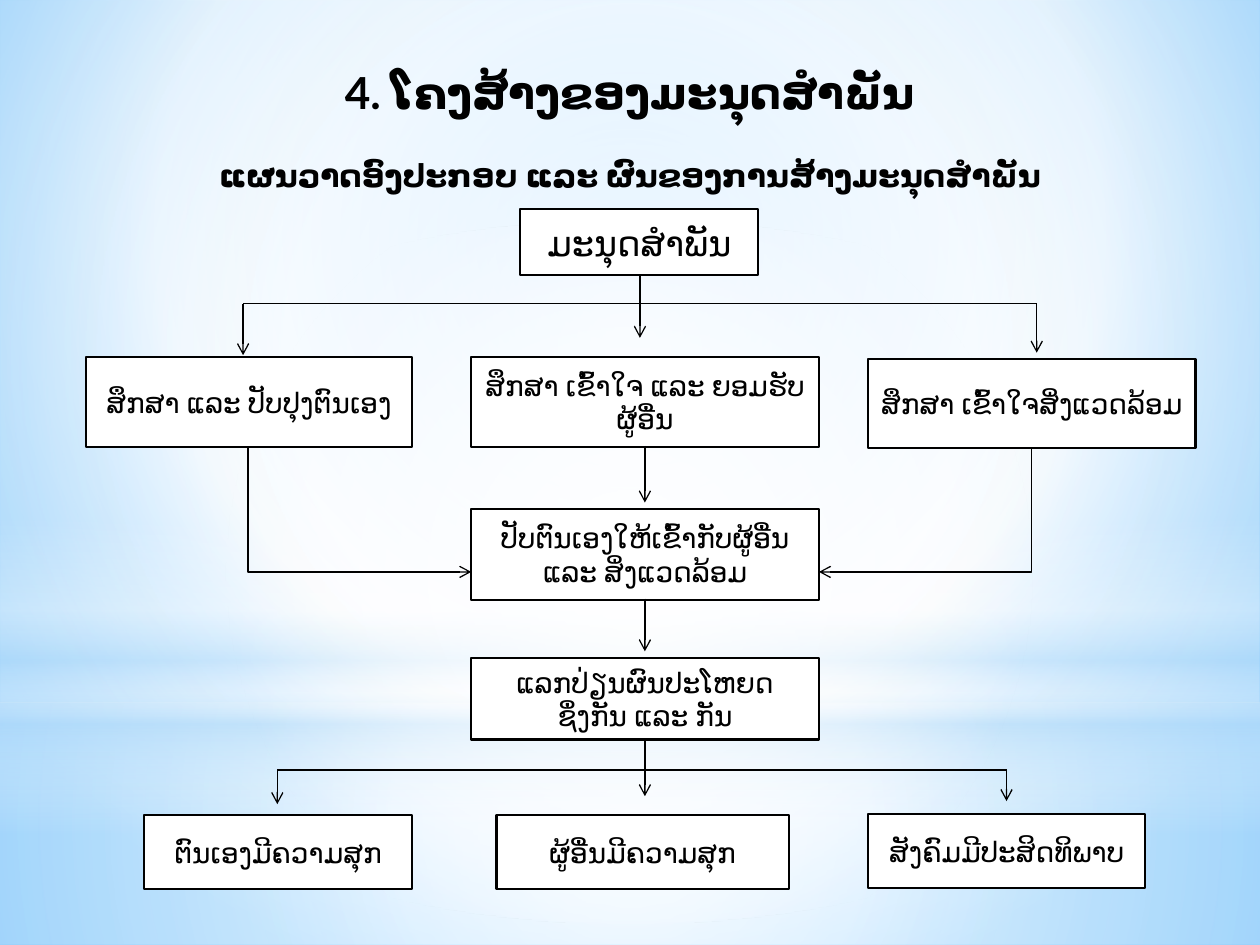
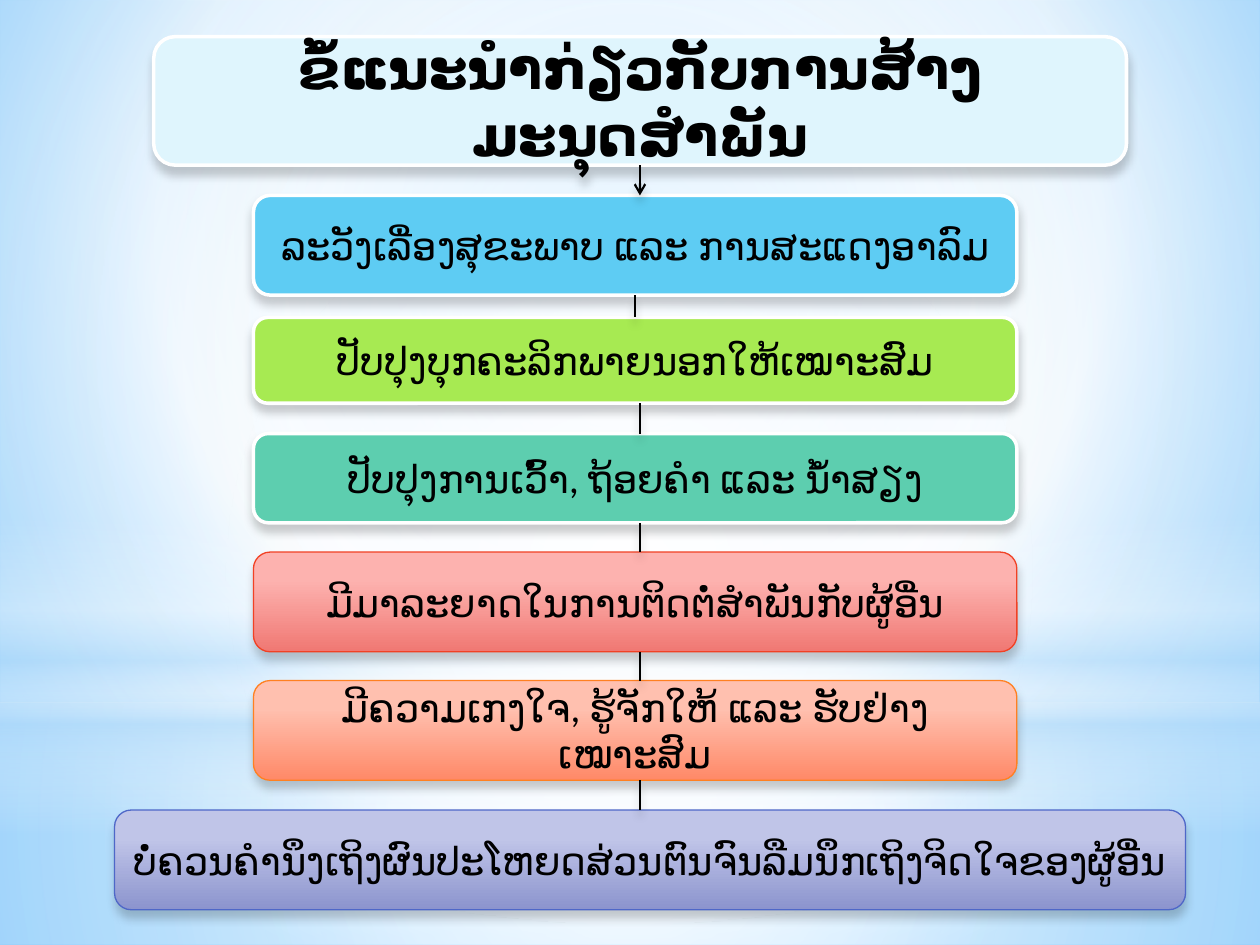
"""Build two slides on the structure of human relations and advice for building them."""
import dataclasses
import itertools
import typing

import pptx
import pptx.dml.color
import pptx.enum.shapes
import pptx.enum.text
import pptx.oxml
import pptx.oxml.ns
import pptx.util

Cm = pptx.util.Cm
Pt = pptx.util.Pt
RGBColor = pptx.dml.color.RGBColor
SHAPE = pptx.enum.shapes.MSO_SHAPE
CONNECTOR = pptx.enum.shapes.MSO_CONNECTOR
ANCHOR = pptx.enum.text.MSO_ANCHOR
qn = pptx.oxml.ns.qn
A_NS = pptx.oxml.ns.nsdecls("a")

BLACK = RGBColor(0x00, 0x00, 0x00)
WHITE = RGBColor(0xFF, 0xFF, 0xFF)
HAZE = RGBColor(0xB4, 0xDC, 0xFA)
SKY_LIGHT = RGBColor(0x9E, 0xD5, 0xFF)
SKY_DEEP = RGBColor(0x5B, 0xB9, 0xFF)
PALE_BLUE = RGBColor(0xDF, 0xF5, 0xFD)
CYAN = RGBColor(0x5E, 0xCC, 0xF3)
LIME = RGBColor(0xA7, 0xEA, 0x52)
TEAL = RGBColor(0x5D, 0xCE, 0xAF)
PINK = RGBColor(0xFD, 0xB2, 0xAF)
ROSE = RGBColor(0xF0, 0x78, 0x73)
RED = RGBColor(0xF1, 0x41, 0x24)
PEACH = RGBColor(0xFF, 0xC0, 0xAF)
CORAL = RGBColor(0xFF, 0x89, 0x68)
ORANGE = RGBColor(0xFF, 0x80, 0x21)
LILAC = RGBColor(0xC0, 0xC5, 0xE8)
VIOLET = RGBColor(0x8C, 0x94, 0xCE)
INDIGO = RGBColor(0x4E, 0x67, 0xC8)

FONT = "Lato"
WIDTH, HEIGHT = 25.4, 19.05


class Stop(typing.NamedTuple):
    """A gradient stop, with position and opacity in percent."""
    position: int
    color: RGBColor
    opacity: int = 100


@dataclasses.dataclass(frozen=True)
class Gradient:
    """A gradient that is circular around a focus, or vertical without one."""
    stops: tuple[Stop, ...]
    focus: tuple[int, int, int, int] | None = None


Fill = RGBColor | Gradient


@dataclasses.dataclass(frozen=True)
class Box:
    """A filled shape with text, measured in centimetres."""
    left: float
    top: float
    width: float
    height: float
    text: str = ""
    fill: Fill = WHITE
    outline: RGBColor | None = BLACK
    outline_width: float = 1.25
    size: float = 16
    bold: bool = False
    preset: SHAPE = SHAPE.RECTANGLE
    shadow: bool = False


class Link(typing.NamedTuple):
    """A straight line between two points in centimetres."""
    x1: float
    y1: float
    x2: float
    y2: float
    arrow: bool = True


def advice(left: float, top: float, width: float, height: float, text: str, fill: Fill,
           outline: RGBColor = WHITE, outline_width: float = 2, size: float = 22,
           bold: bool = False) -> Box:
    """Describe a rounded advice panel with a shadow."""
    return Box(left, top, width, height, text, fill, outline, outline_width, size, bold,
               SHAPE.ROUNDED_RECTANGLE, True)


def step(top: float, height: float, text: str, fill: Fill, **style: typing.Any) -> Box:
    """Describe an advice panel in the middle column."""
    return advice(5.11, top, 15.39, height, text, fill, **style)


def fade(light: RGBColor, dark: RGBColor) -> Gradient:
    """Give the vertical gradient of an advice panel."""
    return Gradient((Stop(28, light), Stop(100, dark)))


CENTRE = (50, 50, 50, 50)
SKY = Gradient((Stop(0, SKY_LIGHT), Stop(60, WHITE), Stop(100, SKY_DEEP)), (20, 10, 20, 60))
LOWER_GLOW = Gradient((Stop(0, WHITE, 91), Stop(37, WHITE, 76), Stop(100, HAZE, 79)), CENTRE)
UPPER_GLOW = Gradient((Stop(0, WHITE, 89), Stop(48, WHITE, 62), Stop(100, HAZE, 79)), CENTRE)
HORIZON = Gradient((Stop(0, WHITE, 0), Stop(29, WHITE, 30), Stop(45, HAZE, 40),
                    Stop(55, WHITE, 26), Stop(65, HAZE, 60), Stop(100, WHITE, 0)))
HALO = Gradient((Stop(0, WHITE), Stop(56, WHITE, 0)), CENTRE)

BACKDROP = (
    Box(0, 14.17, WIDTH, 4.88, fill=LOWER_GLOW, outline=None),
    Box(0, 0, WIDTH, 14.17, fill=UPPER_GLOW, outline=None),
    Box(0, 10.46, WIDTH, 6.35, fill=HORIZON, outline=None),
    Box(0, 4.45, WIDTH, 14.17, fill=HALO, outline=None, preset=SHAPE.OVAL),
)

STRUCTURE = (
    Box(10.49, 4.22, 4.8, 1.32, "ມະນຸດສຳພັນ", size=20),
    Box(1.73, 7.19, 6.58, 1.83, "ສຶກສາ ແລະ ປັບປຸງຕົນເອງ"),
    Box(9.5, 7.19, 7.01, 1.83, "ສຶກສາ ເຂົ້າໃຈ ແລະ ຍອມຮັບຜູ້ອື່ນ"),
    Box(17.5, 7.24, 6.6, 1.8, "ສຶກສາ ເຂົ້າໃຈສິ່ງແວດລ້ອມ"),
    Box(9.5, 10.26, 7.01, 1.83, "ປັບຕົນເອງໃຫ້ເຂົ້າກັບຜູ້ອື່ນ ແລະ ສິ່ງແວດລ້ອມ"),
    Box(9.5, 13.26, 7.01, 1.65, "ແລກປ່ຽນຜົນປະໂຫຍດ\nຊຶ່ງກັນ ແລະ ກັນ"),
    Box(2.9, 16.43, 5.41, 1.5, "ຕົນເອງມີຄວາມສຸກ"),
    Box(10.01, 16.43, 5.89, 1.5, "ຜູ້ອື່ນມີຄວາມສຸກ"),
    Box(17.5, 16.41, 5.59, 1.5, "ສັງຄົມມີປະສິດທິພາບ"),
)

STRUCTURE_LINKS = (
    Link(4.9, 6.12, 20.9, 6.12, False),
    Link(12.9, 5.54, 12.9, 6.81),
    Link(4.9, 6.12, 4.9, 7.16),
    Link(20.9, 6.12, 20.9, 7.11),
    Link(13, 8.99, 13, 10.13),
    Link(13, 12.07, 13, 13.13),
    Link(5.59, 15.52, 20.29, 15.52, False),
    Link(5.59, 15.52, 5.59, 16.21),
    Link(20.29, 15.52, 20.29, 16.15),
    Link(13, 14.91, 13, 16.05),
)
STRUCTURE_BENDS = (Link(5, 9.02, 9.5, 11.53), Link(20.8, 9.02, 16.51, 11.53))

ADVICE = (
    advice(3.1, 0.74, 19.61, 2.59, "ຂໍ້ແນະນຳກ່ຽວກັບການສ້າງມະນຸດສຳພັນ", PALE_BLUE,
           size=32, bold=True),
    step(3.94, 2.01, "ລະວັງເລື່ອງສຸຂະພາບ ແລະ ການສະແດງອາລົມ", CYAN),
    step(6.4, 1.73, "ປັບປຸງບຸກຄະລິກພາຍນອກໃຫ້ເໝາະສົມ", LIME),
    step(8.74, 1.8, "ປັບປຸງການເວົ້າ, ຖ້ອຍຄຳ ແລະ ນໍ້າສຽງ", TEAL),
    step(11.13, 2.01, "ມີມາລະຍາດໃນການຕິດຕໍ່ສຳພັນກັບຜູ້ອື່ນ", fade(PINK, ROSE),
         outline=RED, outline_width=0.75),
    step(13.72, 2.01, "ມີຄວາມເກງໃຈ, ຮູ້ຈັກໃຫ້ ແລະ ຮັບຢ່າງເໝາະສົມ", fade(PEACH, CORAL),
         outline=ORANGE, outline_width=0.75),
    advice(2.31, 16.33, 21.59, 2.01,
           "ບໍ່ຄວນຄຳນຶງເຖິງຜົນປະໂຫຍດສ່ວນຕົນຈົນລືມນຶກເຖິງຈິດໃຈຂອງຜູ້ອື່ນ",
           fade(LILAC, VIOLET), outline=INDIGO, outline_width=0.75),
)


def apply_gradient(properties: typing.Any, gradient: Gradient) -> None:
    """Swap the solid fill inside a properties element for a gradient."""
    stops = "".join(
        f'<a:gs pos="{stop.position * 1000}"><a:srgbClr val="{stop.color}">'
        f'<a:alpha val="{stop.opacity * 1000}"/></a:srgbClr></a:gs>' for stop in gradient.stops)
    if gradient.focus:
        edges = " ".join(f'{side}="{value * 1000}"' for side, value in zip("ltrb", gradient.focus))
        direction = f'<a:path path="circle"><a:fillToRect {edges}/></a:path>'
    else:
        direction = '<a:lin ang="5400000" scaled="0"/>'
    fill = pptx.oxml.parse_xml(f'<a:gradFill {A_NS} rotWithShape="1"><a:gsLst>{stops}</a:gsLst>'
                               f'{direction}</a:gradFill>')
    properties.replace(properties.find(qn("a:solidFill")), fill)


def effects(shadow: bool) -> typing.Any:
    """Give an effect list, empty or with a soft shadow below."""
    soft = (f'<a:outerShdw blurRad="{Pt(5)}" dist="{Pt(4)}" dir="5400000" rotWithShape="0">'
            f'<a:srgbClr val="{BLACK}"><a:alpha val="20000"/></a:srgbClr></a:outerShdw>')
    return pptx.oxml.parse_xml(f'<a:effectLst {A_NS}>{soft if shadow else ""}</a:effectLst>')


def write(paragraph: typing.Any, text: str, *, size: float, bold: bool = False,
          spacing: float | None = None) -> None:
    """Append centred text to a paragraph in the shared font."""
    paragraph.alignment = pptx.enum.text.PP_ALIGN.CENTER
    paragraph.line_spacing = spacing
    run = paragraph.add_run()
    run.text = text
    run.font.name = FONT
    run.font.size = Pt(size)
    run.font.bold = bold
    run.font.color.rgb = BLACK
    run.font._element.append(pptx.oxml.parse_xml(f'<a:cs {A_NS} typeface="{FONT}"/>'))


def draw_box(slide: typing.Any, box: Box) -> None:
    """Draw one box with its fill, outline, shadow and text."""
    shape = slide.shapes.add_shape(box.preset, Cm(box.left), Cm(box.top),
                                   Cm(box.width), Cm(box.height))
    shape.fill.solid()
    if isinstance(box.fill, Gradient):
        apply_gradient(shape._element.spPr, box.fill)
    else:
        shape.fill.fore_color.rgb = box.fill
    if box.outline is None:
        shape.line.fill.background()
    else:
        shape.line.color.rgb = box.outline
        shape.line.width = Pt(box.outline_width)
    shape._element.spPr.append(effects(box.shadow))
    if box.text:
        frame = shape.text_frame
        frame.word_wrap = True
        frame.vertical_anchor = ANCHOR.MIDDLE
        for index, line in enumerate(box.text.split("\n")):
            paragraph = frame.add_paragraph() if index else frame.paragraphs[0]
            write(paragraph, line, size=box.size, bold=box.bold)


def draw_link(slide: typing.Any, link: Link, *, kind: CONNECTOR = CONNECTOR.STRAIGHT,
              width: float = 0.75, shadow: bool = False) -> typing.Any:
    """Draw one black connector, with an arrowhead if the link has one."""
    connector = slide.shapes.add_connector(kind, Cm(link.x1), Cm(link.y1),
                                           Cm(link.x2), Cm(link.y2))
    connector.line.color.rgb = BLACK
    connector.line.width = Pt(width)
    if link.arrow:
        connector.line._ln.append(pptx.oxml.parse_xml(f'<a:tailEnd {A_NS} type="arrow"/>'))
    connector._element.spPr.append(effects(shadow))
    return connector


def draw_bend(slide: typing.Any, link: Link) -> None:
    """Draw a connector that goes down and then sideways in one bend."""
    centre_x, centre_y = (link.x1 + link.x2) / 2, (link.y1 + link.y2) / 2
    half_run, half_drop = abs(link.x2 - link.x1) / 2, (link.y2 - link.y1) / 2
    rightward = link.x2 > link.x1
    reach = -half_drop if rightward else half_drop
    turned = Link(centre_x - reach, centre_y - half_run, centre_x + reach, centre_y + half_run)
    properties = draw_link(slide, turned, kind=CONNECTOR.ELBOW)._element.spPr
    properties.find(qn("a:prstGeom")).set("prst", "bentConnector2")
    properties.find(qn("a:xfrm")).set("rot", str((270 if rightward else 90) * 60000))


def add_slide(deck: typing.Any) -> typing.Any:
    """Add a blank slide with the shared backdrop."""
    slide = deck.slides.add_slide(deck.slide_layouts[6])
    for glow in BACKDROP:
        draw_box(slide, glow)
    return slide


def build_structure(deck: typing.Any) -> None:
    """Build the diagram of the parts and results of human relations."""
    slide = add_slide(deck)
    heading = slide.shapes.add_textbox(Cm(1.27), Cm(0.13), Cm(22.86), Cm(3)).text_frame
    heading.word_wrap = True
    paragraph = heading.paragraphs[0]
    write(paragraph, "4. ໂຄງສ້າງຂອງມະນຸດສໍາພັນ", size=25.2, bold=True, spacing=2.0)
    paragraph.add_line_break()
    write(paragraph, "ແຜນວາດອົງປະກອບ ແລະ ຜົນຂອງການສ້າງມະນຸດສຳພັນ", size=18, bold=True,
          spacing=2.0)
    for box in STRUCTURE:
        draw_box(slide, box)
    for link in STRUCTURE_LINKS:
        draw_link(slide, link)
    for bend in STRUCTURE_BENDS:
        draw_bend(slide, bend)


def build_advice(deck: typing.Any) -> None:
    """Build the chain of advice panels joined from top to bottom."""
    slide = add_slide(deck)
    for panel in ADVICE:
        draw_box(slide, panel)
    for index, (upper, lower) in enumerate(itertools.pairwise(ADVICE)):
        x = 12.8 if index == 1 else 12.9
        link = Link(x, upper.top + upper.height, x, lower.top, index == 0)
        draw_link(slide, link, width=1.25, shadow=True)


def main() -> None:
    """Build and save the deck."""
    deck = pptx.Presentation()
    deck.slide_width, deck.slide_height = Cm(WIDTH), Cm(HEIGHT)
    master = deck.slide_master
    master.background.fill.solid()
    apply_gradient(master._element.find(".//" + qn("p:bgPr")), SKY)
    build_structure(deck)
    build_advice(deck)
    deck.save("out.pptx")


if __name__ == "__main__":
    main()
